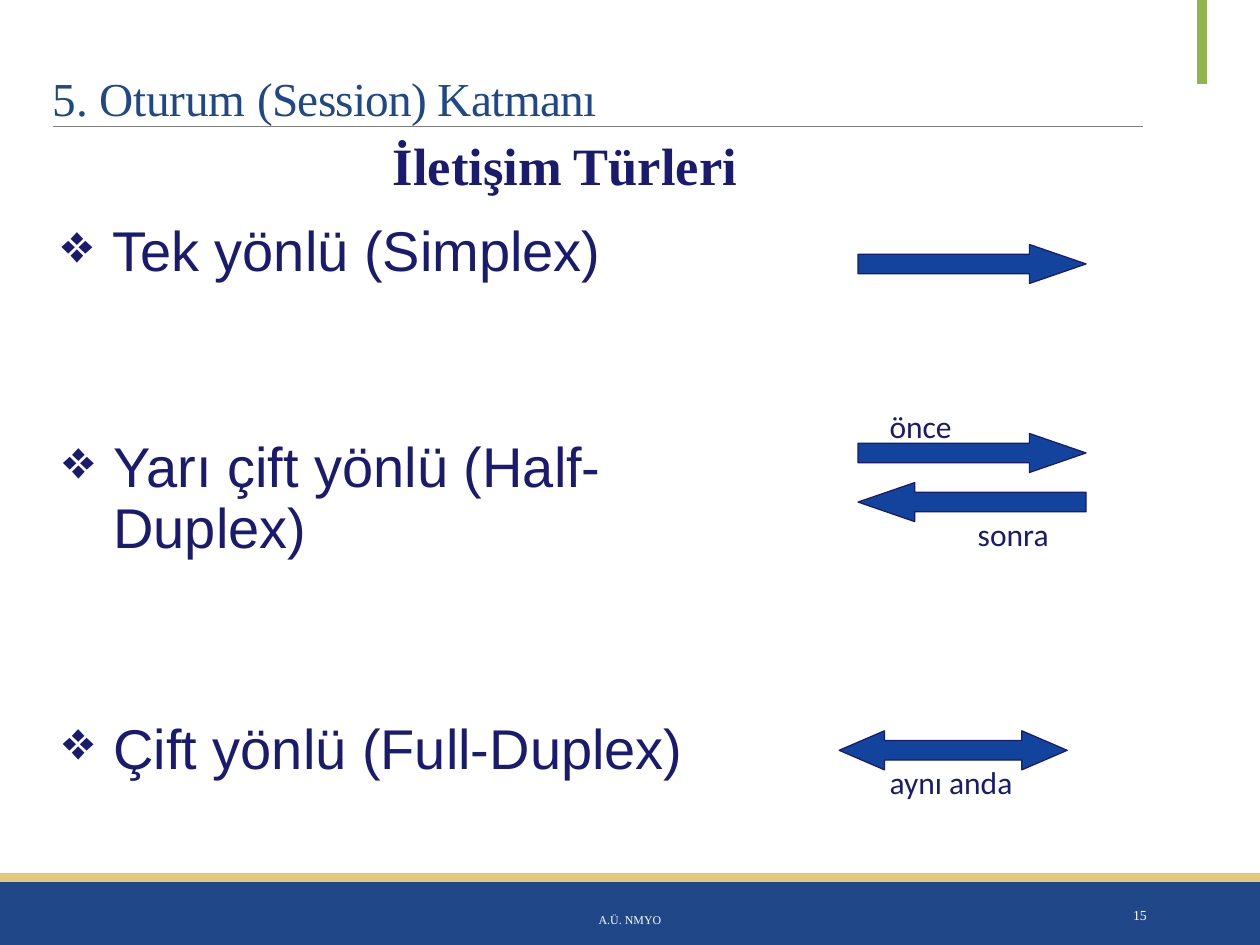
from lxml import etree
from pptx import Presentation
from pptx.dml.color import RGBColor
from pptx.enum.shapes import MSO_CONNECTOR, MSO_SHAPE
from pptx.enum.text import MSO_ANCHOR, PP_ALIGN
from pptx.oxml.ns import qn
from pptx.util import Inches, Pt

BAND_BLUE = RGBColor(0x20, 0x47, 0x88)
GOLD = RGBColor(0xE5, 0xC7, 0x7D)
GREEN = RGBColor(0x90, 0xB5, 0x4D)
GRAY = RGBColor(0x80, 0x80, 0x80)
NAVY = RGBColor(0x1A, 0x1A, 0x6F)
ARROW_BLUE = RGBColor(0x12, 0x44, 0x9E)
WHITE = RGBColor(0xFF, 0xFF, 0xFF)
SERIF = "Times New Roman"
ARROW_WIDTH, ARROW_HEIGHT = 1.81, 0.31


def style(paragraph, font_name, size, color, bold=False):
    font = paragraph.font
    font.name, font.size, font.bold = font_name, Pt(size), bold
    font.color.rgb = color


def clear_margins(frame, top=0.0):
    frame.margin_left = frame.margin_right = frame.margin_bottom = 0
    frame.margin_top = Inches(top)


def add_text(slide, box, text, font_name, size, color, bold=False, top_margin=None, wrap=True):
    """Place one paragraph; without top_margin the default margins stay."""
    frame = slide.shapes.add_textbox(*map(Inches, box)).text_frame
    frame.word_wrap = wrap
    if top_margin is not None:
        clear_margins(frame, top_margin)
    paragraph = frame.paragraphs[0]
    paragraph.text = text
    style(paragraph, font_name, size, color, bold)
    return frame


def add_rule(slide, start, end, color, width):
    rule = slide.shapes.add_connector(
        MSO_CONNECTOR.STRAIGHT, *map(Inches, start + end))
    rule.line.color.rgb = color
    rule.line.width = Pt(width)
    etree.SubElement(rule._element.spPr, qn("a:effectLst"))


def add_band(slide, box, color):
    band = slide.shapes.add_shape(MSO_SHAPE.RECTANGLE, *map(Inches, box))
    band.shadow.inherit = False
    band.fill.solid()
    band.fill.fore_color.rgb = color
    band.line.fill.background()


def add_frame(slide):
    """Bottom bands, title rule and corner accent."""
    add_band(slide, (0, 7, 10, 0.5), BAND_BLUE)
    add_band(slide, (0, 6.93, 10, 0.07), GOLD)
    add_rule(slide, (0.42, 1), (9.07, 1), GRAY, 0.5)
    add_rule(slide, (9.54, 0), (9.54, 0.67), GREEN, 6)


def add_title(slide, box):
    title = slide.shapes.title
    title.left, title.top, title.width, title.height = map(Inches, box)
    frame = title.text_frame
    clear_margins(frame)
    frame.vertical_anchor = MSO_ANCHOR.BOTTOM
    paragraph = frame.paragraphs[0]
    paragraph.alignment = PP_ALIGN.LEFT
    for text, spacing in (("5. Oturum ", "-10"), ("(Session) Katmanı", "-40")):
        run = paragraph.add_run()
        run.text = text
        run._r.get_or_add_rPr().set("spc", spacing)
    style(paragraph, SERIF, 27, BAND_BLUE)


def add_mode(slide, box, text, line_spacing=None, top_margin=0.01):
    """One bulleted communication mode."""
    frame = add_text(slide, box, "", "Arial", 32, NAVY, top_margin=top_margin)
    paragraph = frame.paragraphs[0]
    properties = paragraph._p.get_or_add_pPr()
    properties.set("marL", str(Inches(0.41)))
    properties.set("indent", str(Inches(-0.4)))
    # Bullet elements precede the default run properties
    for index, (tag, attribute, value) in enumerate((
            ("a:buSzPct", "val", "97000"), ("a:buChar", "char", "❖"))):
        bullet = etree.Element(qn(tag))
        bullet.set(attribute, value)
        properties.insert(index, bullet)
    paragraph.text = text
    if line_spacing:
        paragraph.line_spacing = Pt(line_spacing)


def add_arrow(slide, kind, left, top, head_length):
    arrow = slide.shapes.add_shape(
        kind, *map(Inches, (left, top, ARROW_WIDTH, ARROW_HEIGHT)))
    arrow.adjustments[0] = 0.5
    arrow.adjustments[1] = head_length / ARROW_HEIGHT
    arrow.shadow.inherit = False
    arrow.fill.solid()
    arrow.fill.fore_color.rgb = ARROW_BLUE
    arrow.line.color.rgb = NAVY
    arrow.line.width = Pt(0.72)


def add_arrow_label(slide, left, top, width, text):
    add_text(slide, (left, top, width, 0.33), text, "Calibri", 18, NAVY,
             top_margin=0.01, wrap=False)


def add_simplex(slide, left, top):
    add_mode(slide, (left, top, 6.21, 0.55), "Tek yönlü (Simplex)")
    add_arrow(slide, MSO_SHAPE.RIGHT_ARROW, left + 6.33, top + 0.24, 0.45)


def add_half_duplex(slide, left, top):
    add_mode(slide, (left, top, 4.32, 1.04), "Yarı çift yönlü (Half- Duplex)",
             line_spacing=34.6, top_margin=0.07)
    add_arrow(slide, MSO_SHAPE.RIGHT_ARROW, left + 6.32, top + 0.03, 0.45)
    add_arrow(slide, MSO_SHAPE.LEFT_ARROW, left + 6.32, top + 0.42, 0.45)
    add_arrow_label(slide, left + 6.57, top - 0.19, 0.52, "önce")
    add_arrow_label(slide, left + 7.27, top + 0.67, 0.59, "sonra")


def add_full_duplex(slide, left, top):
    add_mode(slide, (left, top, 4.94, 0.56), "Çift yönlü (Full-Duplex)")
    add_arrow(slide, MSO_SHAPE.LEFT_RIGHT_ARROW, left + 6.17, top + 0.15, 0.36)
    add_arrow_label(slide, left + 6.57, top + 0.4, 1.01, "aynı anda")


def add_footer(slide, top, height):
    footer = add_text(slide, (3.02, top, 3.96, height), "A.Ü. NMYO",
                      SERIF, 6.8, WHITE, top_margin=0)
    footer.paragraphs[0].alignment = PP_ALIGN.CENTER
    footer.paragraphs[0].line_spacing = Pt(14.2)
    page_number = add_text(slide, (8.12, top, 1.08, height), "15", SERIF, 7.9, WHITE)
    page_number.paragraphs[0].alignment = PP_ALIGN.RIGHT
    for frame in (footer, page_number):
        frame.vertical_anchor = MSO_ANCHOR.MIDDLE


def main():
    presentation = Presentation()
    presentation.slide_width, presentation.slide_height = Inches(10), Inches(7.5)
    slide = presentation.slides.add_slide(presentation.slide_layouts[5])
    add_frame(slide)
    add_title(slide, (0.42, 0.53, 9.17, 0.47))
    add_text(slide, (3.02, 1.01, 2.97, 0.61), "İletişim Türleri",
             SERIF, 30, NAVY, bold=True, wrap=False)
    add_simplex(slide, 0.48, 1.7)
    add_half_duplex(slide, 0.49, 3.41)
    add_full_duplex(slide, 0.49, 5.65)
    add_footer(slide, 7.06, 0.4)
    presentation.save("out.pptx")


if __name__ == "__main__":
    main()
